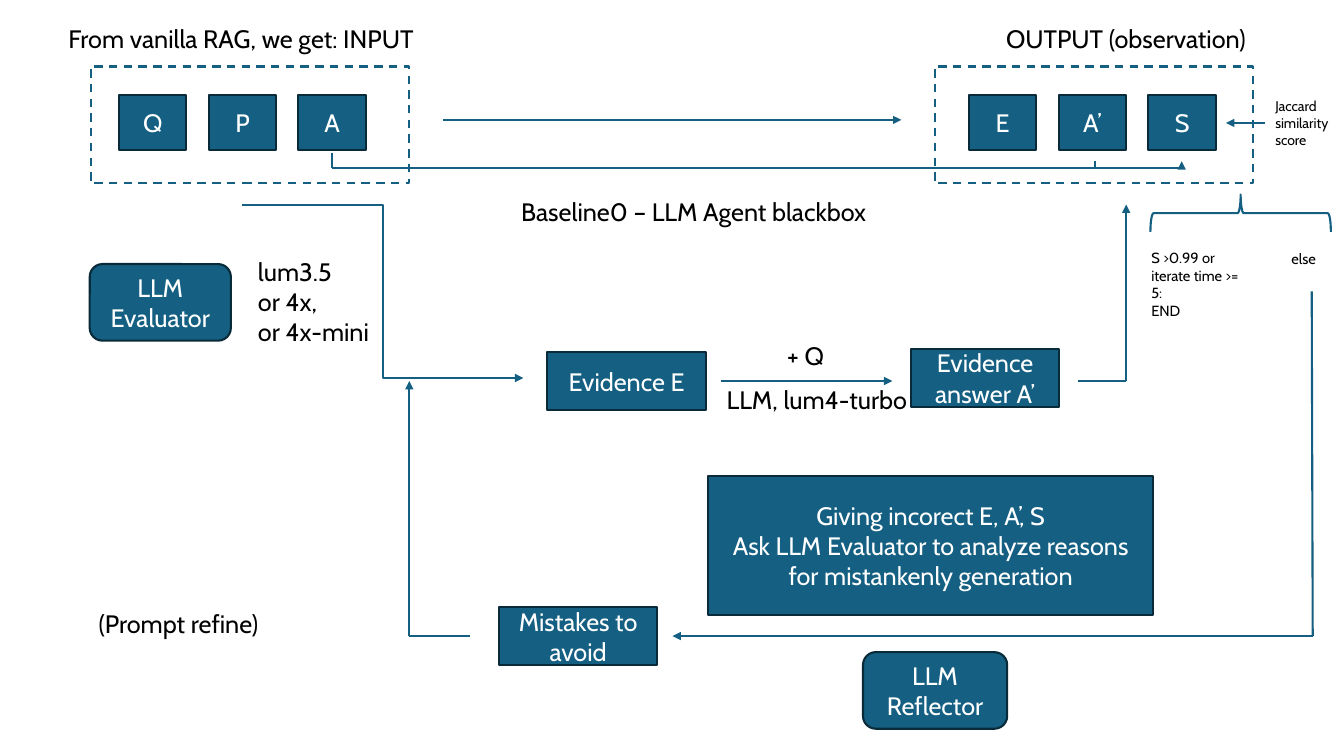
from dataclasses import dataclass

from lxml.etree import SubElement as Sub
from pptx import Presentation
from pptx.dml.color import RGBColor as RGB
from pptx.enum.dml import MSO_LINE as Dash
from pptx.enum.shapes import MSO_CONNECTOR as Conn, MSO_SHAPE as Kind
from pptx.enum.text import MSO_ANCHOR as Anchor, MSO_AUTO_SIZE as Auto, PP_ALIGN as Align
from pptx.oxml.ns import qn
from pptx.shapes.autoshape import Shape
from pptx.slide import Slide
from pptx.util import Inches, Pt


@dataclass(frozen=True)
class Theme:
    font: str = "Cabin"
    fill: RGB = RGB.from_string("156082")
    edge: RGB = RGB.from_string("092A39")
    dark: RGB = RGB.from_string("000000")
    light: RGB = RGB.from_string("FFFFFF")
    body: float = 18
    small: float = 10.5
    tiny: float = 10
    line: float = 1.5


THEME = Theme()


@dataclass(frozen=True)
class Box:
    text: str
    left: float
    top: float
    width: float
    height: float
    kind: Kind = Kind.RECTANGLE


@dataclass(frozen=True)
class Label:
    text: str
    left: float
    top: float
    width: float
    height: float = 0.4
    size: float = THEME.body


@dataclass(frozen=True)
class Link:
    start: tuple[float, float]
    end: tuple[float, float]
    arrow: bool = False
    kind: Conn = Conn.STRAIGHT


def write(shape: Shape, text: str, size: float, color: RGB, align: Align) -> None:
    frame = shape.text_frame
    frame.word_wrap = True
    for i, part in enumerate(text.split("\n")):
        para = frame.add_paragraph() if i else frame.paragraphs[0]
        para.alignment = align
        run = para.add_run()
        run.text = part
        run.font.name = THEME.font
        run.font.size = Pt(size)
        run.font.color.rgb = color


def add_form(slide: Slide, box: Box) -> Shape:
    """Add an unfilled outline in the theme's line style."""
    shape = slide.shapes.add_shape(
        box.kind, Inches(box.left), Inches(box.top), Inches(box.width), Inches(box.height))
    shape.shadow.inherit = False
    shape.fill.background()
    shape.line.color.rgb = THEME.fill
    shape.line.width = Pt(THEME.line)
    return shape


def add_box(slide: Slide, box: Box) -> None:
    shape = add_form(slide, box)
    shape.fill.solid()
    shape.fill.fore_color.rgb = THEME.fill
    shape.line.color.rgb = THEME.edge
    shape.text_frame.vertical_anchor = Anchor.MIDDLE
    write(shape, box.text, THEME.body, THEME.light, Align.CENTER)


def add_label(slide: Slide, label: Label) -> None:
    shape = slide.shapes.add_textbox(
        Inches(label.left), Inches(label.top), Inches(label.width), Inches(label.height))
    write(shape, label.text, label.size, THEME.dark, Align.LEFT)
    shape.text_frame.auto_size = Auto.SHAPE_TO_FIT_TEXT


def add_link(slide: Slide, link: Link) -> None:
    ends = [Inches(v) for v in (*link.start, *link.end)]
    line = slide.shapes.add_connector(link.kind, *ends)
    line.line.color.rgb = THEME.fill
    line.line.width = Pt(THEME.line)
    if link.arrow:
        Sub(line.line._get_or_add_ln(), qn("a:tailEnd"), type="triangle")
    Sub(line._element.spPr, qn("a:effectLst"))


# Input and output groups: a dashed frame with three tiles each
TOP, TILE_W, TILE_H, STEP = 0.94, 0.67, 0.55, 0.89
GROUPS = {1.18: ("Q", "P", "A"), 9.61: ("E", "A’", "S")}
TILES = [Box(name, left + i * STEP, TOP, TILE_W, TILE_H)
         for left, names in GROUPS.items() for i, name in enumerate(names)]
FRAMES = [Box("", left, 0.66, 3.16, 1.16) for left in (0.9, 9.27)]
BRACE = Box("", 12.12, 1.22, 0.37, 1.79, Kind.RIGHT_BRACE)

# Steps of the loop
STEPS = [
    Box("LLM\nEvaluator", 0.89, 2.62, 1.4, 0.76, Kind.ROUNDED_RECTANGLE),
    Box("Evidence E", 5.43, 3.49, 1.57, 0.58),
    Box("Evidence answer A’", 9.04, 3.46, 1.46, 0.58),
    Box("Giving incorect E, A’, S\n"
        "Ask LLM Evaluator to analyze reasons for mistankenly generation",
        7.02, 4.72, 4.42, 1.38),
    Box("LLM\nReflector", 8.56, 6.47, 1.43, 0.76, Kind.ROUNDED_RECTANGLE),
    Box("Mistakes to avoid", 4.95, 6.02, 1.57, 0.58),
]

LABELS = [
    Label("From vanilla RAG, we get: INPUT", 0.58, 0.18, 4.08),
    Label("OUTPUT (observation)", 9.88, 0.18, 3.02),
    Label("Baseline0 – LLM Agent blackbox", 5.07, 1.9, 4.09),
    Label("lum3.5\nor 4x,\nor 4x-mini", 2.46, 2.49, 1.35, 1.01),
    Label("+ Q", 7.71, 3.33, 0.7),
    Label("LLM, lum4-turbo", 7.11, 3.76, 2.2),
    Label("(Prompt refine)", 0.88, 5.99, 1.92),
    Label("Jaccard similarity score", 12.55, 0.92, 0.78, 0.61, THEME.tiny),
    Label("S >0.99 or iterate time >= 5:\nEND", 11.32, 2.42, 1.11, 0.81, THEME.small),
    Label("else", 12.71, 2.43, 0.6, 0.28, THEME.small),
]

# Heights of the score rail, the middle row and the return path
RAIL, MID, BACK = 1.67, 3.78, 6.31
LINKS = [
    Link((4.39, 1.19), (8.94, 1.19), True),
    Link((12.55, 1.22), (12.16, 1.22), True),
    # A and A’ feed the score S
    Link((3.29, 1.52), (3.29, RAIL)),
    Link((3.29, RAIL), (11.72, RAIL)),
    Link((11.72, RAIL), (11.72, 1.6), True),
    Link((10.86, RAIL), (10.86, 1.6)),
    # Input to evidence, to answer, to output
    Link((2.4, 2.03), (5.19, 3.75), True, Conn.ELBOW),
    Link((7.15, MID), (8.85, MID), True),
    Link((10.69, MID), (11.17, MID)),
    Link((11.17, MID), (11.17, 2.03), True),
    # Return path
    Link((13.01, 2.89), (13.02, BACK)),
    Link((13.02, BACK), (6.67, BACK), True),
    Link((4.66, BACK), (4.06, BACK)),
    Link((4.06, BACK), (4.06, MID), True),
]


def main() -> None:
    deck = Presentation()
    deck.slide_width, deck.slide_height = Inches(13.33), Inches(7.5)
    slide = deck.slides.add_slide(deck.slide_layouts[6])
    for frame in FRAMES:
        add_form(slide, frame).line.dash_style = Dash.DASH
    add_form(slide, BRACE).rotation = 270
    for box in TILES + STEPS:
        add_box(slide, box)
    for link in LINKS:
        add_link(slide, link)
    for label in LABELS:
        add_label(slide, label)
    deck.save("out.pptx")


if __name__ == "__main__":
    main()
